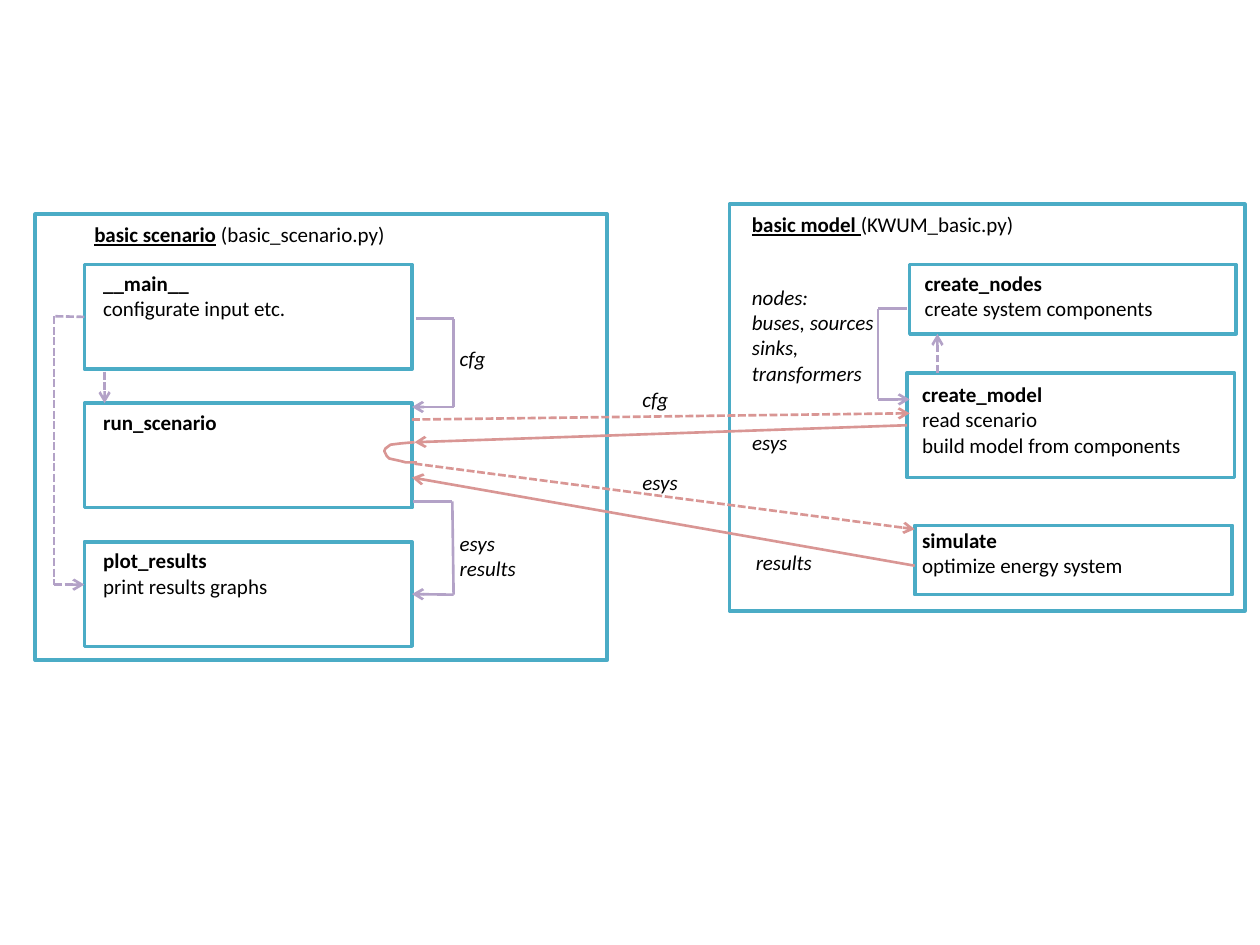
from pptx import Presentation
from pptx.dml.color import RGBColor as Rgb
from pptx.enum.dml import MSO_LINE as Dash
from pptx.enum.shapes import MSO_CONNECTOR as Link, MSO_SHAPE as Shape
from pptx.oxml.ns import qn
from pptx.util import Inches, Pt
from lxml.etree import SubElement

THEME = {
    "font": "Calibri", "size": Pt(12), "text": Rgb(0, 0, 0),
    "fill": Rgb(255, 255, 255), "frame": Rgb(0x4B, 0xAC, 0xC6),
    "local": Rgb(0xB3, 0xA2, 0xC7), "remote": Rgb(0xD9, 0x96, 0x94),
    "border": Pt(2), "flow": Pt(1.5),
}

deck = Presentation()
deck.slide_width, deck.slide_height = Inches(10), Inches(7.5)
slide = deck.slides.add_slide(deck.slide_layouts[6])
shapes = slide.shapes


def add_box(left, top, width, height):
    box = shapes.add_shape(Shape.RECTANGLE, Inches(left), Inches(top),
                           Inches(width), Inches(height))
    box.shadow.inherit = False
    box.fill.solid()
    box.fill.fore_color.rgb = THEME["fill"]
    box.line.color.rgb = THEME["frame"]
    box.line.width = THEME["border"]
    return box


def add_text(left, top, width, lines, italic=False):
    """Add one paragraph per line and return the paragraphs."""
    label = shapes.add_textbox(Inches(left), Inches(top), Inches(width),
                               Inches(0.1 + 0.2 * len(lines)))
    frame = label.text_frame
    frame.word_wrap = True
    frame.text = "\n".join(lines)
    for para in frame.paragraphs:
        para.font.name, para.font.size = THEME["font"], THEME["size"]
        para.font.color.rgb = THEME["text"]
        para.font.italic = italic
        for run in para.runs:
            run.font.name, run.font.size = THEME["font"], THEME["size"]
            run.font.color.rgb = THEME["text"]
            run.font.italic = italic
    return frame.paragraphs


# Panels: box, heading place, name, file
panels = [
    ((5.79, 1.62, 4.09, 3.23), (5.87, 1.63), "basic model ", "(KWUM_basic.py)"),
    ((0.28, 1.7, 4.54, 3.54), (0.65, 1.71), "basic scenario", " (basic_scenario.py)"),
]
for area, place, name, source in panels:
    add_box(*area)
    head = add_text(*place, 2.6, [name])[0]
    title = head.runs[0].font
    title.bold = title.underline = True
    tail = head.add_run()
    tail.text = source
    tail.font.name, tail.font.size = THEME["font"], THEME["size"]
    tail.font.color.rgb = THEME["text"]

# Functions: box, text place, name and description
steps = [
    ((7.22, 2.1, 2.59, 0.55), (7.24, 2.1),
     ["create_nodes", "create system components"]),
    ((7.2, 2.96, 2.6, 0.83), (7.22, 2.98),
     ["create_model", "read scenario", "build model from components"]),
    ((7.26, 4.17, 2.52, 0.55), (7.22, 4.14),
     ["simulate", "optimize energy system"]),
]
scenario = [["__main__", "configurate input etc."], ["run_scenario"],
            ["plot_results", "print results graphs"]]
for row, lines in enumerate(scenario):
    top = 2.1 + 1.1 * row
    steps.append(((0.67, top, 2.6, 0.83), (0.72, top), lines))

boxes = {}
for area, place, lines in steps:
    boxes[lines[0]] = add_box(*area)
    add_text(*place, 2.58, lines)[0].runs[0].font.bold = True

# Data passed between functions
labels = [
    (5.87, 2.21, 1.26, ["nodes:\vbuses, sources", "sinks, transformers"]),
    (5.9, 4.31, 1.01, ["results"]),
    (5.87, 3.36, 1.02, ["esys"]),
    (5, 3.02, 0.55, ["cfg"]),
    (5, 3.68, 0.55, ["esys"]),
    (3.55, 4.16, 1.01, ["esys", "results"]),
    (3.55, 2.69, 0.55, ["cfg"]),
]
for left, top, width, lines in labels:
    add_text(left, top, width, lines, italic=True)

# Flows: colour, dashed, corner points; the last leg ends in an arrow
flows = [
    ("local", True, [(7.44, 2.96), (7.44, 2.65)]),
    ("local", False, [(7.2, 2.45), (6.97, 2.45), (6.97, 3.17), (7.22, 3.17)]),
    ("local", True, [(0.83, 2.95), (0.83, 3.2)]),
    ("local", True, [(0.67, 2.51), (0.43, 2.51), (0.43, 4.64), (0.67, 4.64)]),
    ("local", False, [(3.3, 2.53), (3.6, 2.53), (3.6, 3.23), (3.27, 3.23)]),
    ("local", False, [(3.28, 3.98), (3.59, 3.98), (3.6, 4.72), (3.29, 4.72)]),
    ("remote", True, [(3.27, 3.33), (7.22, 3.28)]),
    ("remote", False, [(7.2, 3.4), (3.29, 3.51)]),
    ("remote", True, [(3.29, 3.68), (7.26, 4.2)]),
    ("remote", False, [(7.26, 4.49), (3.27, 3.79)]),
]
# Legs that meet the middle of a side
starts = {(0.67, 2.51): ("__main__", 1), (7.2, 3.4): ("create_model", 1)}
ends = {(3.29, 4.72): ("plot_results", 3)}

for color, dashed, points in flows:
    for start, end in zip(points, points[1:]):
        leg = shapes.add_connector(Link.STRAIGHT, *map(Inches, start + end))
        if start in starts:
            name, side = starts[start]
            leg.begin_connect(boxes[name], side)
        if end in ends:
            name, side = ends[end]
            leg.end_connect(boxes[name], side)
        leg.line.color.rgb = THEME[color]
        leg.line.width = THEME["flow"]
        if dashed:
            leg.line.dash_style = Dash.SQUARE_DOT
        if end == points[-1]:
            SubElement(leg.line._get_or_add_ln(), qn("a:tailEnd"), type="arrow")
        SubElement(leg._element.spPr, qn("a:effectLst"))

# Loop inside run_scenario from the built model to the simulation
bend = [(3.29, 3.51), (3.18, 3.52), (3.1, 3.53), (3.06, 3.56), (3.05, 3.58),
        (3.07, 3.62), (3.09, 3.64), (3.18, 3.66), (3.22, 3.67), (3.31, 3.67)]
path = shapes.build_freeform(*map(Inches, bend[0]))
path.add_line_segments([(Inches(x), Inches(y)) for x, y in bend[1:]], close=False)
loop = path.convert_to_shape()
loop.shadow.inherit = False
loop.fill.background()
loop.line.color.rgb = THEME["remote"]
loop.line.width = THEME["flow"]

deck.save("out.pptx")
